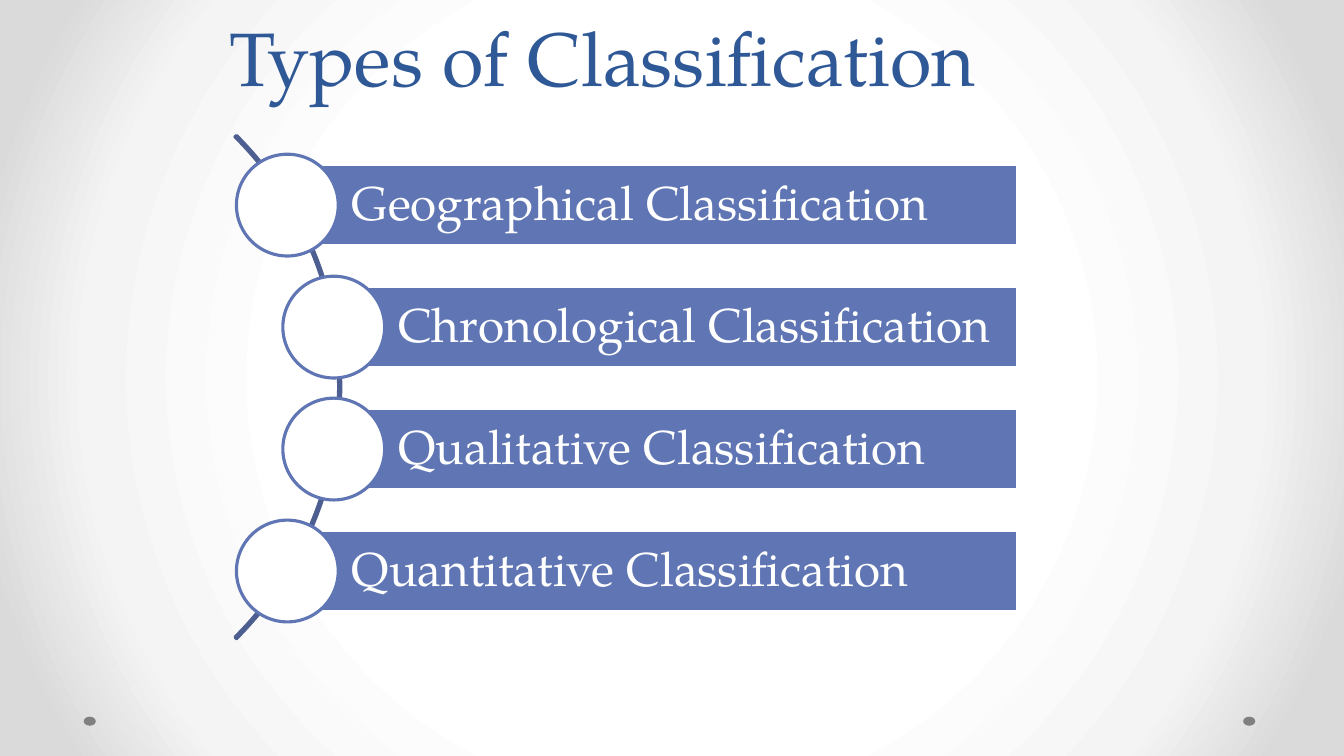
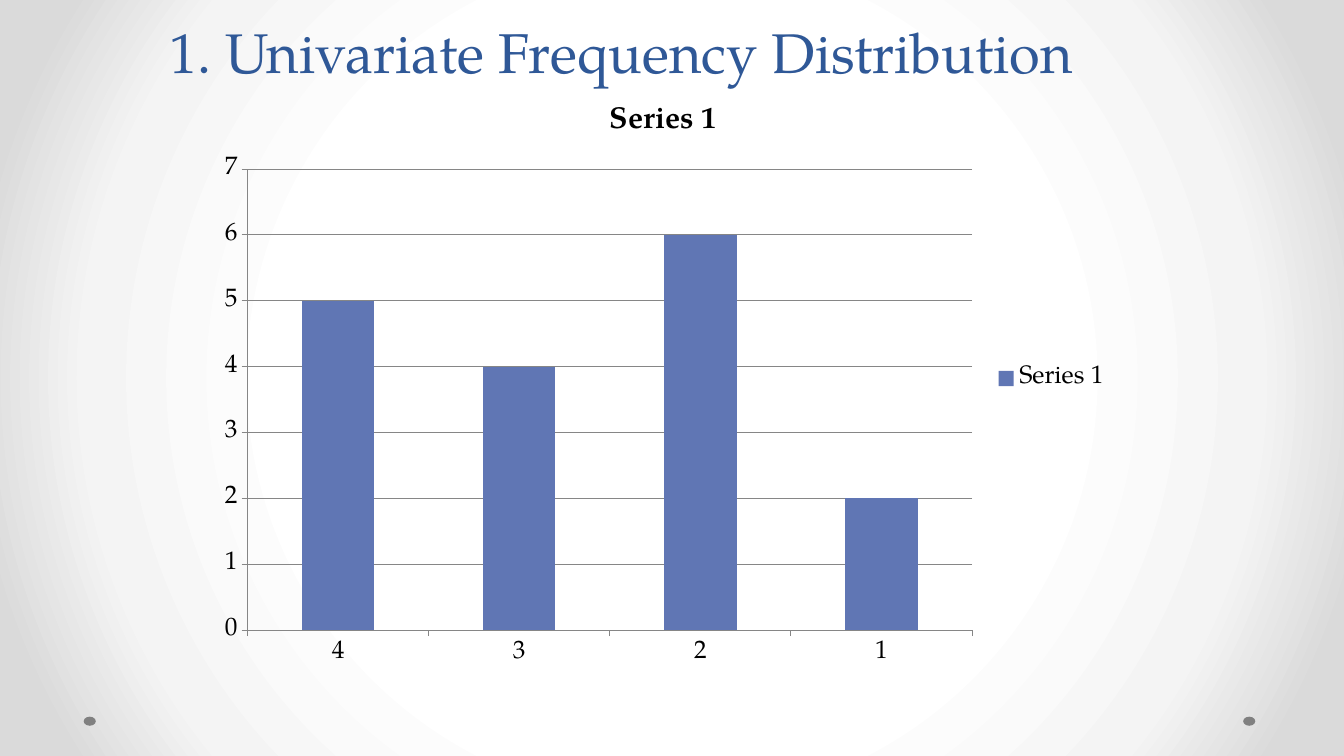
from dataclasses import dataclass

from pptx import Presentation
from pptx.chart.data import CategoryChartData
from pptx.dml.color import RGBColor as RGB
from pptx.enum.chart import XL_CHART_TYPE as CT, XL_LEGEND_POSITION as LP, XL_TICK_MARK as TM
from pptx.enum.shapes import MSO_SHAPE as SH
from pptx.enum.text import MSO_ANCHOR as ANCHOR, MSO_AUTO_SIZE as FIT, PP_ALIGN as AL
from pptx.oxml import parse_xml
from pptx.oxml.ns import nsdecls, qn
from pptx.util import Inches, Pt


@dataclass(frozen=True)
class Theme:
    font: str = "TeX Gyre Pagella"
    title: RGB = RGB.from_string("2F5897")
    accent: RGB = RGB.from_string("6076B4")
    arc: RGB = RGB.from_string("4D5E90")
    white: RGB = RGB.from_string("FFFFFF")
    black: RGB = RGB.from_string("000000")
    dot: RGB = RGB.from_string("808080")
    grid: RGB = RGB.from_string("868686")
    glow: tuple = ((50, "FFFFFF"), (76, "F4F4F4"), (92, "DADADA"))
    bar_size: float = 34
    chart_size: float = 18
    chart_title_size: float = 21.6
    line: float = 2.25


T = Theme()


def write(tf, text, size, color, align=AL.LEFT, anchor=ANCHOR.MIDDLE, spacing=None, bold=False):
    tf.word_wrap = True
    tf.auto_size = FIT.NONE
    tf.vertical_anchor = anchor
    p = tf.paragraphs[0]
    p.alignment = align
    p.line_spacing = spacing
    r = p.add_run()
    r.text = text
    r.font.name, r.font.size, r.font.bold = T.font, Pt(size), bold
    r.font.color.rgb = color


def add_shape(shapes, kind, box, fill=None, line=None):
    sp = shapes.add_shape(kind, *map(Inches, box))
    sp.shadow.inherit = False
    if fill is None:
        sp.fill.background()
    else:
        sp.fill.solid()
        sp.fill.fore_color.rgb = fill
    if line is None:
        sp.line.fill.background()
    else:
        sp.line.color.rgb = line
        sp.line.width = Pt(T.line)
    return sp


prs = Presentation()
prs.slide_width, prs.slide_height = Inches(13.33), Inches(7.5)

master = prs.slide_master
master.background.fill.solid()
bg = master.element.find(".//" + qn("p:bgPr"))
stops = "".join(f'<a:gs pos="{pos * 1000}"><a:srgbClr val="{color}"/></a:gs>' for pos, color in T.glow)
bg.replace(bg[0], parse_xml(
    f'<a:gradFill {nsdecls("a")} rotWithShape="1"><a:gsLst>{stops}</a:gsLst>'
    '<a:path path="circle"><a:fillToRect l="50000" t="50000" r="50000" b="50000"/></a:path></a:gradFill>'))

titles = [
    ("Types of Classification", 54, (0.37, 0.21, 11.21, 0.85)),
    ("1. Univariate Frequency Distribution", 40, (0, 0.13, 12.32, 0.76)),
]
for text, size, box in titles:
    s = prs.slides.add_slide(prs.slide_layouts[5])
    title = s.shapes.title
    title.left, title.top, title.width, title.height = map(Inches, box)
    write(title.text_frame, text, size, T.title, align=AL.CENTER, anchor=ANCHOR.BOTTOM, spacing=Pt(58))

types_slide, chart_slide = prs.slides

for x in (0.83, 12.33):
    dot = add_shape(types_slide.shapes, SH.OVAL, (x, 7.11, 0.12, 0.09), fill=T.dot)
    master.shapes._spTree.append(dot._element)

group = types_slide.shapes.add_group_shape().shapes
arc = add_shape(group, SH.BLOCK_ARC, (-3.68, 0.31, 7.06, 7.06), line=T.arc)
for i, value in enumerate((189, 27, 0.003)):
    arc.adjustments[i] = value

right, pitch, circle = 10.09, 1.21, 1.01
bars = [("Geographical", 2.85), ("Chronological", 3.31), ("Qualitative", 3.31), ("Quantitative", 2.85)]
for i, (name, x) in enumerate(bars):
    y = 1.63 + i * pitch
    bar = add_shape(group, SH.RECTANGLE, (x, y, right - x, 0.81), fill=T.accent, line=T.white)
    tf = bar.text_frame
    tf.margin_left = Inches(0.64)
    tf.margin_right = tf.margin_top = tf.margin_bottom = Inches(0.09)
    write(tf, f"{name} Classification", T.bar_size, T.white, spacing=0.9)
    add_shape(group, SH.OVAL, (x - circle / 2, y - 0.1, circle, circle), fill=T.white, line=T.accent)

data = CategoryChartData()
data.categories = ["4", "3", "2", "1"]
data.add_series("Series 1", (5, 4, 6, 2))
box = map(Inches, (2.05, 0.79, 9.06, 5.93))
chart = chart_slide.shapes.add_chart(CT.COLUMN_CLUSTERED, *box, data).chart
chart.font.name, chart.font.size = T.font, Pt(T.chart_size)
chart.font.color.rgb = T.black
chart.has_title = True
write(chart.chart_title.text_frame, "Series 1", T.chart_title_size, T.black, align=AL.CENTER, bold=True)
chart.chart_title.include_in_layout = False
chart.has_legend = True
chart.legend.position = LP.RIGHT
chart.legend.include_in_layout = False

plot = chart.plots[0]
plot.gap_width = 150
plot.vary_by_categories = False
series = plot.series[0]
series.format.fill.solid()
series.format.fill.fore_color.rgb = T.accent

chart.value_axis.has_major_gridlines = True
chart.value_axis.minimum_scale = 0
chart.value_axis.maximum_scale = 7
chart.value_axis.major_unit = 1
for axis in (chart.category_axis, chart.value_axis):
    axis.major_tick_mark = TM.OUTSIDE
for part in (chart.category_axis, chart.value_axis, chart.value_axis.major_gridlines):
    part.format.line.color.rgb = T.grid
    part.format.line.width = Pt(0.75)

prs.save("out.pptx")
